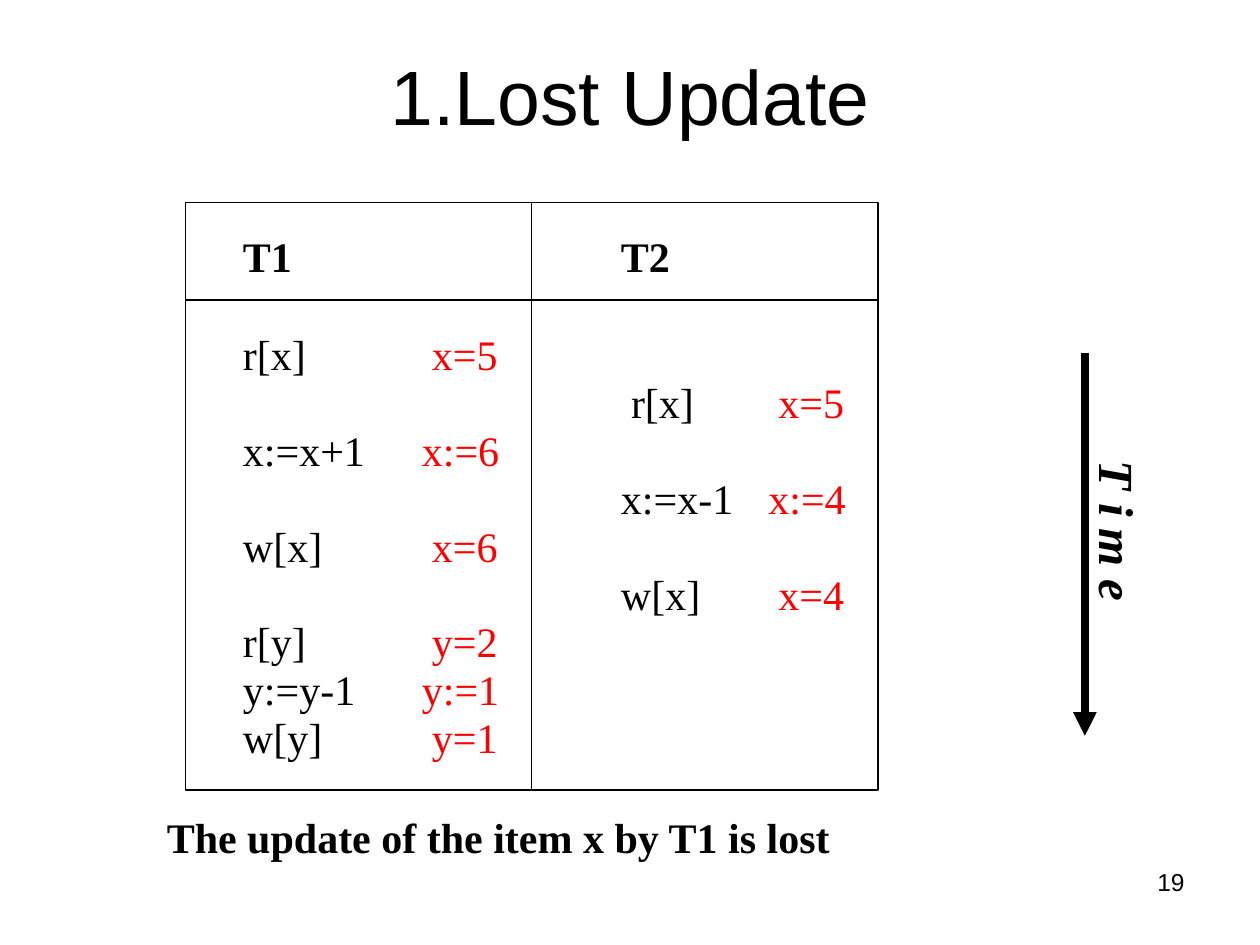
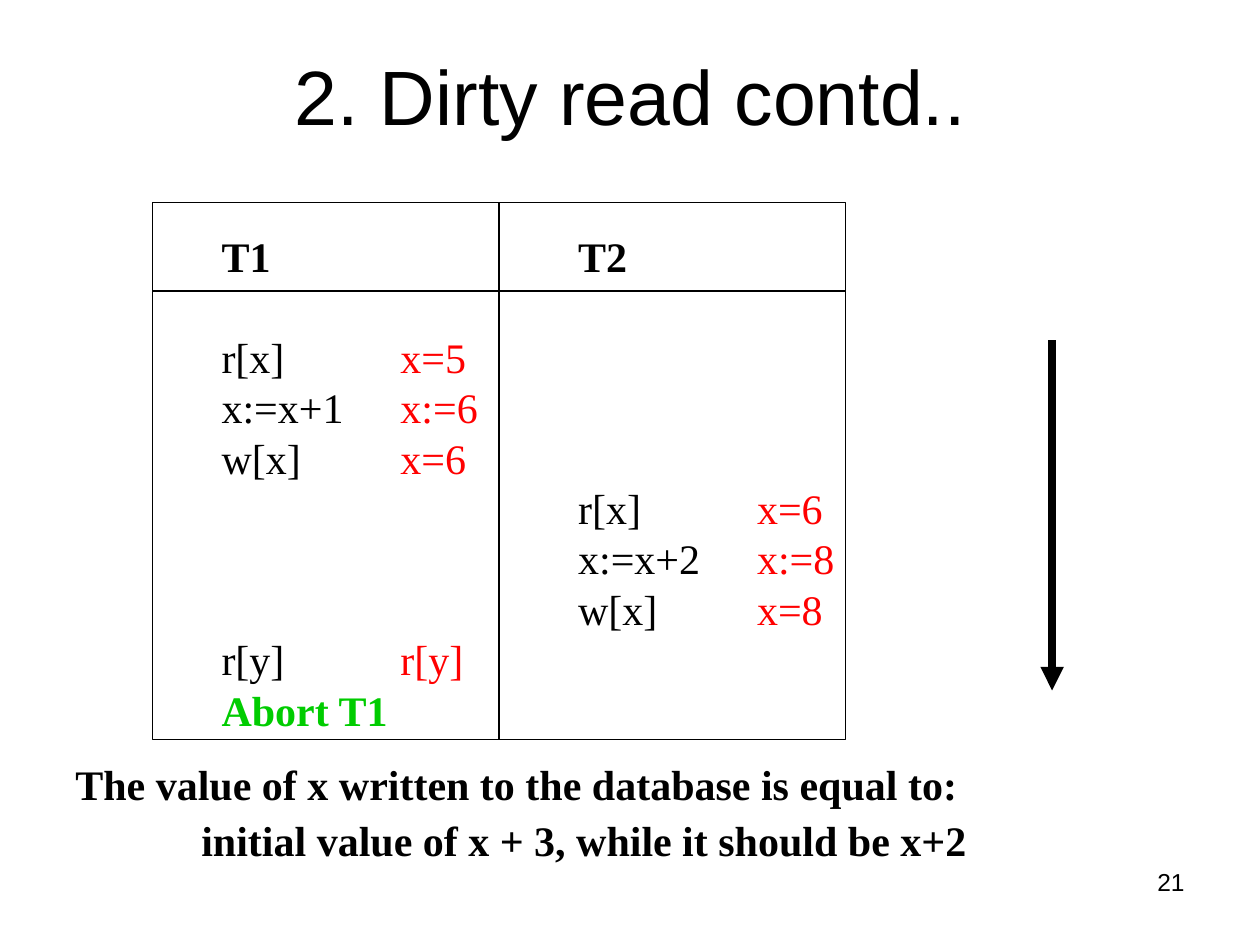
from dataclasses import dataclass

from lxml import etree
from pptx import Presentation
from pptx.dml.color import RGBColor
from pptx.enum.shapes import MSO_CONNECTOR, MSO_SHAPE
from pptx.enum.text import MSO_ANCHOR, PP_ALIGN
from pptx.oxml.ns import qn
from pptx.slide import Slide
from pptx.util import Emu, Pt

PX = 9144
LEFT, CENTER, RIGHT = PP_ALIGN.LEFT, PP_ALIGN.CENTER, PP_ALIGN.RIGHT
TOP, MIDDLE = MSO_ANCHOR.TOP, MSO_ANCHOR.MIDDLE
STRAIGHT, RECTANGLE = MSO_CONNECTOR.STRAIGHT, MSO_SHAPE.RECTANGLE

COLORS = {"ink": "000000", "result": "FF0000", "abort": "00CC00"}
SANS, SERIF = "Arial", "Times New Roman"
LINE_HEIGHT = 1.2
BODY_SIZE = 24
STEPS_TOP = 258


@dataclass(frozen=True)
class Box:
    left: int
    top: int
    width: int
    height: int


@dataclass(frozen=True)
class Line:
    text: str
    indent: int = 0
    tab: int = 0
    pitch: float = 1.0
    before: float = 0
    color: str = "ink"
    bold: bool = False


@dataclass(frozen=True)
class Style:
    font: str = SERIF
    size: int = BODY_SIZE
    align: PP_ALIGN = LEFT
    anchor: MSO_ANCHOR = TOP
    wrap: bool = True
    italic: bool = False
    rotation: int = 0


@dataclass(frozen=True)
class Step:
    transaction: int
    operation: str
    result: str = ""
    shift: int = 0


@dataclass(frozen=True)
class Schedule:
    frame: Box
    header_bottom: int
    operations: Box
    results: Box
    operation_indents: tuple[int, int]
    result_indents: tuple[int, int]
    read_shift: int
    pitch: float
    steps: tuple[Step, ...]


@dataclass(frozen=True)
class Anomaly:
    title: str
    number: int
    schedule: Schedule
    arrow: tuple[int, int, int]
    caption: Box
    caption_lines: tuple[Line, ...]
    caption_style: Style
    time_label: bool = False


BODY = Style()
TITLE = Style(SANS, 44, CENTER, MIDDLE)
NUMBER = Style(SANS, 14, RIGHT)
TIME = Style(size=28, italic=True, rotation=90)

ANOMALIES = (
    Anomaly(
        "1.Lost Update",
        19,
        Schedule(
            Box(147, 161, 550, 466),
            238,
            Box(183, 178, 458, 432),
            Box(325, STEPS_TOP, 458, 352),
            (0, 300),
            (0, 275),
            8,
            0.95,
            (
                Step(0, "r[x]", "x=5"),
                Step(1, "r[x]", "x=5", 8),
                Step(0, "x:=x+1", "x:=6"),
                Step(1, "x:=x-1", "x:=4"),
                Step(0, "w[x]", "x=6"),
                Step(1, "w[x]", "x=4"),
                Step(0, "r[y]", "y=2"),
                Step(0, "y:=y-1", "y:=1"),
                Step(0, "w[y]", "y=1"),
            ),
        ),
        (861, 280, 584),
        Box(118, 639, 555, 50),
        (Line("The update of the item x by T1 is lost", bold=True),),
        Style(align=CENTER, anchor=MIDDLE, wrap=False),
        True,
    ),
    Anomaly(
        "2. Dirty read contd..",
        21,
        Schedule(
            Box(121, 161, 550, 426),
            231,
            Box(166, 178, 458, 410),
            Box(291, STEPS_TOP, 458, 330),
            (0, 283),
            (17, 300),
            0,
            1.0,
            (
                Step(0, "r[x]", "x=5"),
                Step(0, "x:=x+1", "x:=6"),
                Step(0, "w[x]", "x=6"),
                Step(1, "r[x]", "x=6"),
                Step(1, "x:=x+2", "x:=8"),
                Step(1, "w[x]", "x=8"),
                Step(0, "r[y]", "r[y]"),
                Step(0, "Abort T1"),
            ),
        ),
        (835, 270, 548),
        Box(50, 603, 920, 89),
        (
            Line("The value of x written to the database is equal to:", pitch=0.85, bold=True),
            Line("initial value of x + 3, while it should be x+2", 100, pitch=0.85, before=7.5, bold=True),
        ),
        Style(anchor=MIDDLE),
    ),
)


def px(length: int) -> Emu:
    return Emu(length * PX)


def rgb(name: str) -> RGBColor:
    return RGBColor.from_string(COLORS[name])


def add_text(slide: Slide, box: Box, lines: list[Line] | tuple[Line, ...], style: Style) -> None:
    text_box = slide.shapes.add_textbox(px(box.left), px(box.top), px(box.width), px(box.height))
    text_box.rotation = style.rotation
    frame = text_box.text_frame
    frame.word_wrap = style.wrap
    frame.vertical_anchor = style.anchor
    for index, line in enumerate(lines):
        paragraph = frame.add_paragraph() if index else frame.paragraphs[0]
        paragraph.text = line.text
        paragraph.alignment = style.align
        properties = paragraph._p.get_or_add_pPr()
        if line.indent:
            properties.set("marL", str(px(line.indent)))
            properties.set("indent", "0")
        if line.tab:
            stops = etree.SubElement(properties, qn("a:tabLst"))
            etree.SubElement(stops, qn("a:tab"), pos=str(px(line.tab)), algn="l")
        paragraph.line_spacing = Pt(style.size * LINE_HEIGHT * line.pitch)
        if line.before:
            paragraph.space_before = Pt(line.before)
        font = paragraph.font
        font.name = style.font
        font.size = Pt(style.size)
        font.bold = line.bold
        font.italic = style.italic
        font.color.rgb = rgb(line.color)


def add_line(slide: Slide, start: tuple[int, int], end: tuple[int, int], width: float, arrow: bool = False) -> None:
    connector = slide.shapes.add_connector(STRAIGHT, *map(px, start + end))
    connector.line.color.rgb = rgb("ink")
    connector.line.width = Pt(width)
    if arrow:
        etree.SubElement(connector.line._get_or_add_ln(), qn("a:tailEnd"), type="triangle")
    etree.SubElement(connector._element.spPr, qn("a:effectLst"))


def add_grid(slide: Slide, frame: Box, header_bottom: int) -> None:
    border = slide.shapes.add_shape(RECTANGLE, px(frame.left), px(frame.top), px(frame.width), px(frame.height))
    border.shadow.inherit = False
    border.fill.background()
    border.line.color.rgb = rgb("ink")
    border.line.width = Pt(0.75)
    middle = frame.left + frame.width // 2
    add_line(slide, (middle, frame.top), (middle, frame.top + frame.height), 0.75)
    add_line(slide, (frame.left, header_bottom), (frame.left + frame.width, header_bottom), 0.75)


def add_schedule(slide: Slide, schedule: Schedule) -> None:
    operations = [Line("T1\tT2", tab=schedule.operation_indents[1], bold=True)]
    results = []
    for index, step in enumerate(schedule.steps):
        aborts = step.operation.startswith("Abort")
        operations.append(
            Line(
                step.operation,
                schedule.operation_indents[step.transaction] + step.shift,
                pitch=schedule.pitch,
                before=0 if index else BODY_SIZE * LINE_HEIGHT,
                color="abort" if aborts else "ink",
                bold=aborts,
            )
        )
        if step.result:
            shift = 0 if ":=" in step.result else schedule.read_shift
            indent = schedule.result_indents[step.transaction] + shift
            results.append(Line(step.result, indent, pitch=schedule.pitch, color="result"))
    add_text(slide, schedule.operations, operations, BODY)
    add_grid(slide, schedule.frame, schedule.header_bottom)
    add_text(slide, schedule.results, results, BODY)


def add_anomaly(slide: Slide, anomaly: Anomaly) -> None:
    add_text(slide, Box(717, 683, 233, 52), [Line(str(anomaly.number))], NUMBER)
    add_text(slide, Box(50, 25, 901, 100), [Line(anomaly.title)], TITLE)
    add_schedule(slide, anomaly.schedule)
    x, start, end = anomaly.arrow
    add_line(slide, (x, start), (x, end), 4.5, arrow=True)
    if anomaly.time_label:
        add_text(slide, Box(821, 394, 133, 57), [Line("T i m e", bold=True)], TIME)
    add_text(slide, anomaly.caption, anomaly.caption_lines, anomaly.caption_style)


def main() -> None:
    deck = Presentation()
    deck.slide_width, deck.slide_height = px(1000), px(750)
    blank = deck.slide_layouts[6]
    for anomaly in ANOMALIES:
        add_anomaly(deck.slides.add_slide(blank), anomaly)
    deck.save("out.pptx")


if __name__ == "__main__":
    main()
